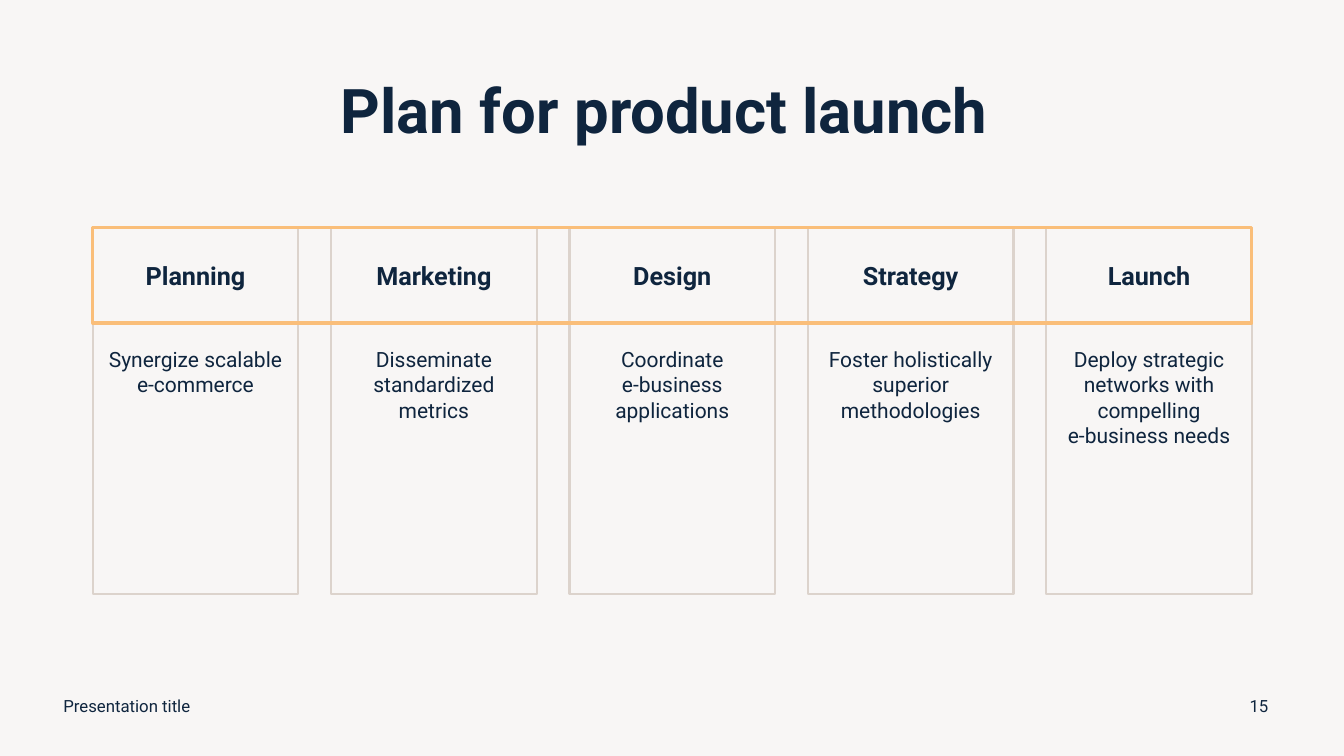
from pptx import Presentation
from pptx.dml.color import RGBColor
from pptx.enum.shapes import MSO_SHAPE as Shape
from pptx.enum.text import MSO_ANCHOR as Anchor, PP_ALIGN as Align
from pptx.util import Pt

TITLE = "Plan for product launch "
FOOTER = "Presentation title"
PAGE_NUMBER = "15"
STAGES = [
    ("Planning", ["Synergize scalable", "e-commerce"]),
    ("Marketing", ["Disseminate standardized metrics"]),
    ("Design", ["Coordinate", "e-business applications"]),
    ("Strategy", ["Foster holistically superior methodologies"]),
    ("Launch", ["Deploy strategic networks with compelling", "e-business needs"]),
]
COLORS = {"page": "F8F6F5", "ink": "0F253E", "grid": "DCD3CC", "accent": "FABE79"}
FONT = "Roboto"

LEFT, WIDTH = 66.24, 828
COLUMN_WIDTH = 146.88
PITCH = (WIDTH - COLUMN_WIDTH) / (len(STAGES) - 1)
HEADER_TOP, HEADER_HEIGHT = 162.72, 68
BODY_TOP, BODY_HEIGHT = 230.4, 193.7


def color(name):
    return RGBColor.from_string(COLORS[name])


def write(box, lines, size, bold=False, align=Align.CENTER, anchor=Anchor.MIDDLE,
          inset_top=3.6, before=0, spacing=1.0):
    frame = box.text_frame
    frame.word_wrap = True
    frame.vertical_anchor = anchor
    frame.margin_left = frame.margin_right = Pt(7.2)
    frame.margin_top, frame.margin_bottom = Pt(inset_top), Pt(3.6)
    for index, line in enumerate(lines):
        para = frame.add_paragraph() if index else frame.paragraphs[0]
        para.alignment = align
        para.space_before = Pt(before)
        para.line_spacing = spacing
        span = para.add_run()
        span.text = line
        span.font.name = FONT
        span.font.size = Pt(size)
        span.font.bold = bold
        span.font.color.rgb = color("ink")


def add_frame(page, left, top, width, height, line, weight):
    box = page.shapes.add_shape(Shape.RECTANGLE, Pt(left), Pt(top), Pt(width), Pt(height))
    box.shadow.inherit = False
    box.fill.background()
    box.line.color.rgb = color(line)
    box.line.width = Pt(weight)
    return box


def add_label(page, left, width, text, align):
    box = page.shapes.add_textbox(Pt(left), Pt(489.6), Pt(width), Pt(28.8))
    write(box, [text], 12, align=align)


def main():
    deck = Presentation()
    deck.slide_width, deck.slide_height = Pt(960), Pt(540)
    page = deck.slides.add_slide(deck.slide_layouts[5])
    page.background.fill.solid()
    page.background.fill.fore_color.rgb = color("page")

    title = page.shapes.title
    title.left, title.top = Pt(LEFT), Pt(28.8)
    title.width, title.height = Pt(WIDTH), Pt(104.4)
    write(title, [TITLE], 44, bold=True, spacing=0.9)

    for index, (name, lines) in enumerate(STAGES):
        left = LEFT + index * PITCH
        header = add_frame(page, left, HEADER_TOP, COLUMN_WIDTH, HEADER_HEIGHT, "grid", 1.5)
        write(header, [name], 18, bold=True, before=10)
        body = add_frame(page, left, BODY_TOP, COLUMN_WIDTH, BODY_HEIGHT, "grid", 1.5)
        write(body, lines, 15, anchor=Anchor.TOP, inset_top=17.28)

    add_frame(page, LEFT, HEADER_TOP, WIDTH, HEADER_HEIGHT, "accent", 2.25)
    add_label(page, 38.16, 324, FOOTER, Align.LEFT)
    add_label(page, 881.28, 36, PAGE_NUMBER, Align.CENTER)
    deck.save("out.pptx")


if __name__ == "__main__":
    main()
